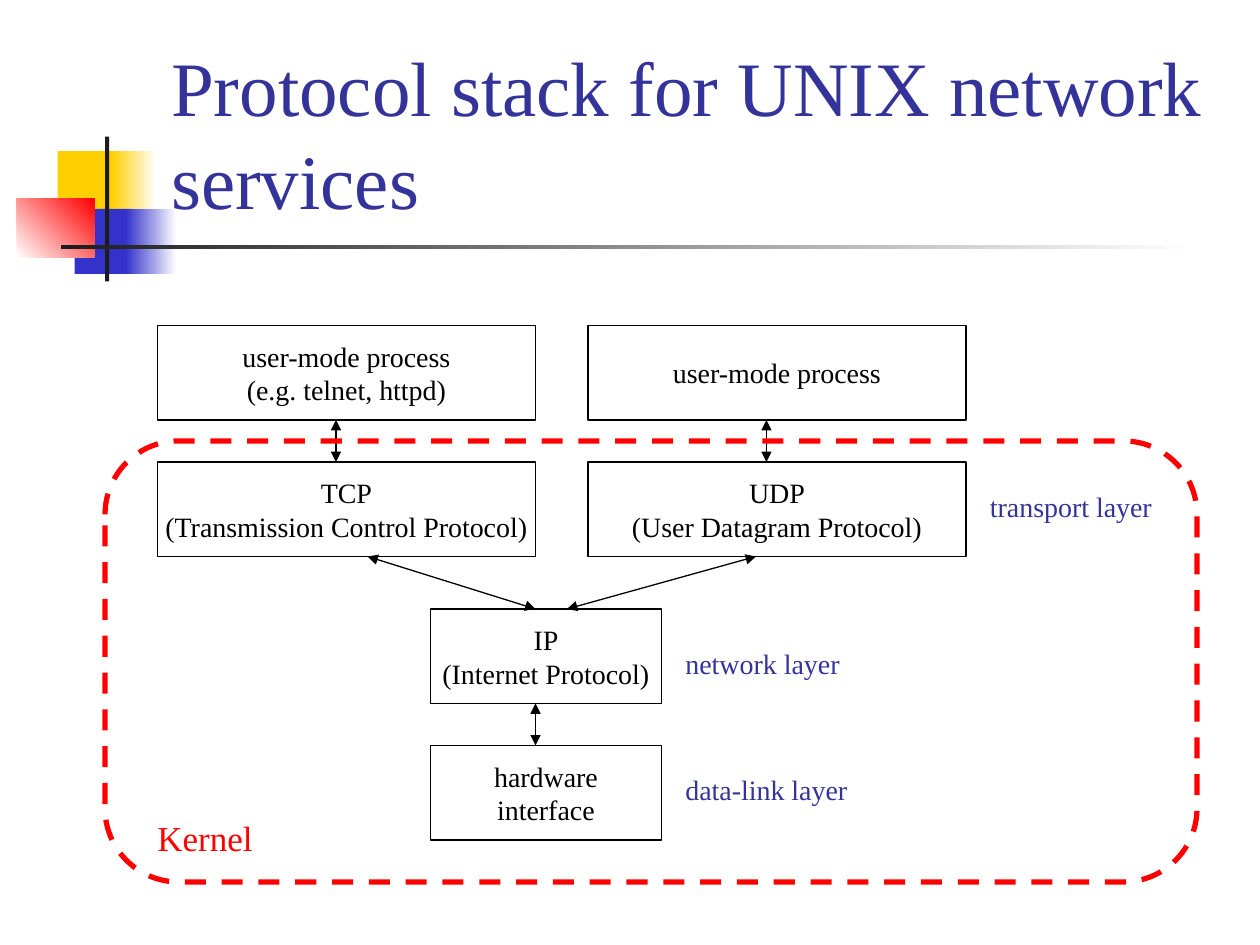
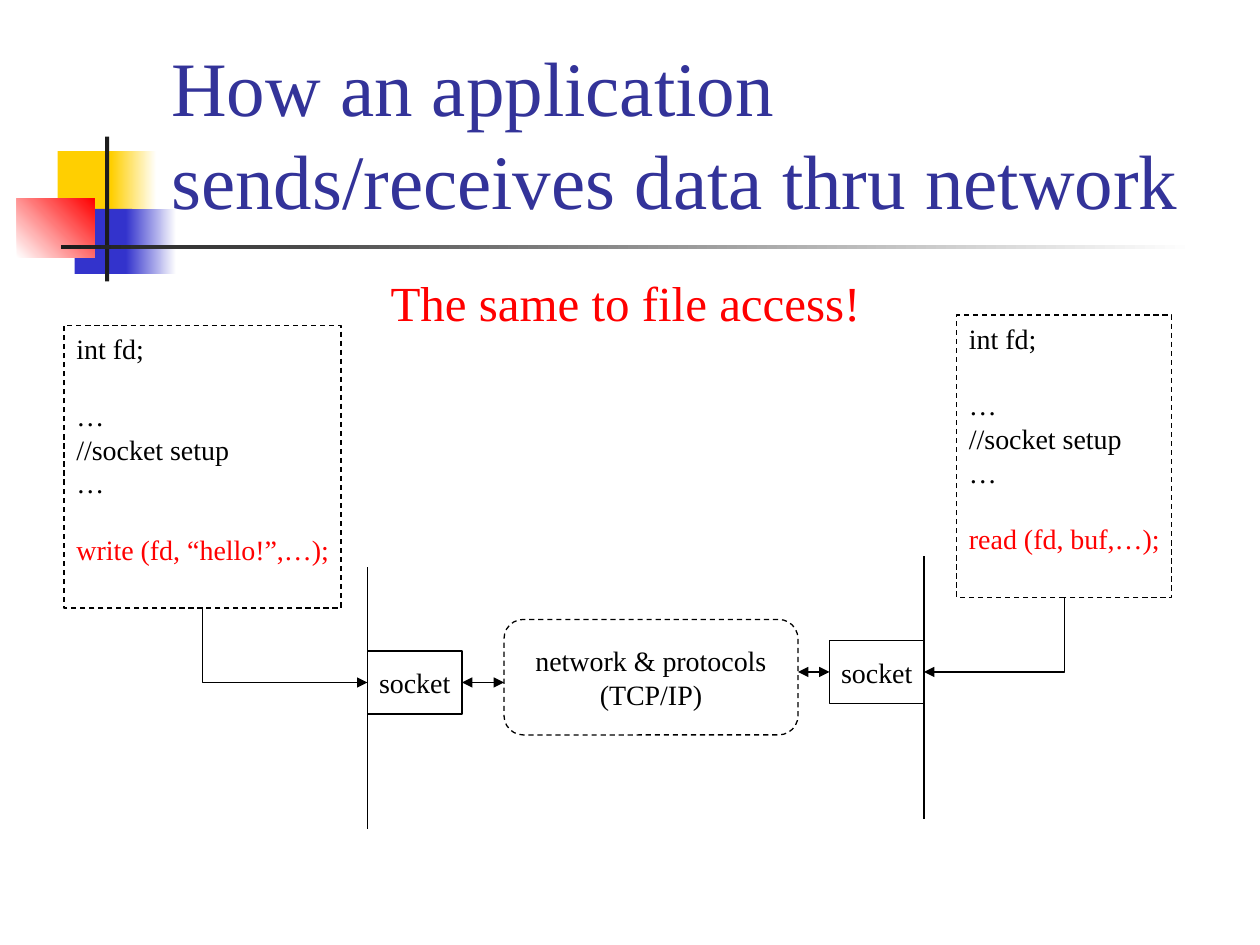
from dataclasses import dataclass

from lxml.etree import SubElement
from pptx import Presentation
from pptx.dml.color import RGBColor
from pptx.enum.dml import MSO_LINE
from pptx.enum.shapes import MSO_CONNECTOR, MSO_SHAPE
from pptx.enum.text import MSO_ANCHOR, MSO_AUTO_SIZE, PP_ALIGN
from pptx.oxml.ns import qn
from pptx.util import Inches, Pt

TOP, LEFT, BOTTOM, RIGHT = range(4)


@dataclass(frozen=True)
class Theme:
    """Colours, type sizes and line widths of the deck."""
    font: str = "Times New Roman"
    ink: str = "000000"
    title: str = "333399"
    alert: str = "FF0000"
    paper: str = "FFFFFF"
    yellow: str = "FFCF01"
    blue: str = "3333CC"
    bar: str = "1C1C1C"
    title_size: int = 44
    body_size: int = 28
    kernel_size: int = 20
    text_size: int = 16
    blank_line: int = 19
    thin: float = 0.75
    thick: float = 3


THEME = Theme()


@dataclass(frozen=True)
class Box:
    """An area in grid cells, twelve to the inch."""
    left: float
    top: float
    width: float
    height: float

    def within(self, left, top, width, height):
        """Return an area placed relative to this one."""
        return Box(self.left + left, self.top + top, width, height)

    def point(self, column, row):
        """Return a point of this area as slide lengths."""
        return cells(self.left + column), cells(self.top + row)

    def frame(self):
        """Return left, top, width and height as slide lengths."""
        return [cells(n) for n in (self.left, self.top, self.width, self.height)]


SLIDE = Box(0, 0, 120, 90)


def cells(count):
    """Turn grid cells into a length."""
    return Inches(count / 12)


def colour(value):
    """Turn a hex value into a colour."""
    return RGBColor.from_string(value)


def assign(target, values):
    """Set each attribute named in a dict."""
    for name, value in values.items():
        setattr(target, name, value)


def place(shape, area):
    """Move a shape to an area."""
    assign(shape, dict(zip(("left", "top", "width", "height"), area.frame())))


def style_font(para, size, tint):
    """Give a paragraph the deck's font."""
    assign(para.font, {"name": THEME.font, "size": Pt(size)})
    para.font.color.rgb = colour(tint)


def write(shape, lines, size=THEME.text_size, tint=THEME.ink,
          align=PP_ALIGN.LEFT, anchor=MSO_ANCHOR.TOP, wrap=False):
    """Fill a shape with one paragraph a line."""
    frame = shape.text_frame
    assign(frame, {"word_wrap": wrap, "auto_size": MSO_AUTO_SIZE.NONE,
                   "vertical_anchor": anchor, "text": "\n".join(lines)})
    for para in frame.paragraphs:
        para.alignment = align
        style_font(para, size, tint)
    return frame.paragraphs


def stroke(line, tint=THEME.ink, width=THEME.thin, dash=None):
    """Draw a line in a colour, width and dash."""
    line.color.rgb = colour(tint)
    assign(line, {"width": Pt(width), "dash_style": dash})


def outline(page, area, kind=MSO_SHAPE.RECTANGLE, **line):
    """Add an unfilled shape with an outline."""
    shape = page.shapes.add_shape(kind, *area.frame())
    shape.shadow.inherit = False
    shape.fill.background()
    stroke(shape.line, **line)
    return shape


def node(page, area, lines, **look):
    """Add an outlined shape with centred text."""
    shape = outline(page, area, **look)
    write(shape, lines, align=PP_ALIGN.CENTER, anchor=MSO_ANCHOR.MIDDLE)
    return shape


def label(page, area, text, size=THEME.text_size, tint=THEME.title):
    """Add a one-line text box."""
    write(page.shapes.add_textbox(*area.frame()), [text], size, tint)


def link(page, start, end, heads=("headEnd", "tailEnd"), kind=MSO_CONNECTOR.STRAIGHT):
    """Add a thin connector with arrowheads."""
    connector = page.shapes.add_connector(kind, *start, *end)
    stroke(connector.line)
    properties = connector.element.spPr
    for head in heads:
        SubElement(properties.find(qn("a:ln")), qn(f"a:{head}"), type="triangle")
    SubElement(properties, qn("a:effectLst"))
    return connector


def ornament(page, area):
    """Draw the coloured blocks and bars behind the title."""
    blocks = (
        ((5.5, 14.4, 5.8, 6.2), (THEME.yellow,), 0),
        ((10.6, 14.4, 4.3, 6.2), (THEME.yellow, THEME.paper), 0),
        ((7.1, 19.9, 5.5, 6.2), (THEME.blue,), 0),
        ((12, 19.9, 4.8, 6.2), (THEME.blue, THEME.paper), 0),
        ((1.6, 18.9, 7.4, 5.6), (THEME.paper, THEME.alert), 45),
        ((10, 13, 0.4, 13.8), (THEME.bar,), 0),
        ((5.8, 23.35, 108, 0.4), (THEME.bar, THEME.paper), 0),
    )
    for spot, tints, angle in blocks:
        block = page.shapes.add_shape(MSO_SHAPE.RECTANGLE, *area.within(*spot).frame())
        block.shadow.inherit = False
        block.line.fill.background()
        if len(tints) == 1:
            block.fill.solid()
            block.fill.fore_color.rgb = colour(tints[0])
        else:
            block.fill.gradient()
            block.fill.gradient_angle = angle
            for stop, tint in zip(block.fill.gradient_stops, tints):
                stop.color.rgb = colour(tint)
        page.shapes.title.element.addprevious(block.element)


def titled_page(deck, layout, title):
    """Add a slide with the shared ornament and title."""
    page = deck.slides.add_slide(deck.slide_layouts.get_by_name(layout))
    ornament(page, SLIDE)
    place(page.shapes.title, SLIDE.within(15.1, 2.8, 102.2, 19.2))
    write(page.shapes.title, [title], THEME.title_size, THEME.title,
          anchor=MSO_ANCHOR.BOTTOM, wrap=True)
    return page


def protocol_stack(page, area):
    """Draw the protocol boxes, their links and the kernel border."""
    wide, narrow, height = 36, 22, 9
    left, right, middle = 5, 46, 31
    user, transport, network, hardware = 0, 13, 27, 40
    boxes = (
        (middle, hardware, narrow, ("hardware", "interface")),
        (middle, network, narrow, ("IP", "(Internet Protocol)")),
        (left, transport, wide, ("TCP", "(Transmission Control Protocol)")),
        (right, transport, wide, ("UDP", "(User Datagram Protocol)")),
        (left, user, wide, ("user-mode process", "(e.g. telnet, httpd)")),
        (right, user, wide, ("user-mode process",)),
    )
    for column, row, width, lines in boxes:
        node(page, area.within(column, row, width, height), lines)
    links = ((41, hardware, 41, network), (41, network, 25, transport),
             (44, network, 62, transport), (22, transport, 22, user),
             (63, transport, 63, user))
    for lower, row, upper, row_above in links:
        link(page, area.point(lower, row), area.point(upper, row_above + height))
    for column, row, text in ((54.1, 42, "data-link layer"),
                              (54.1, 30, "network layer"),
                              (83.1, 15, "transport layer")):
        label(page, area.within(column, row, 17.8, 4.4), text)
    outline(page, area.within(0, 11, area.width, 42), MSO_SHAPE.ROUNDED_RECTANGLE,
            tint=THEME.alert, width=THEME.thick, dash=MSO_LINE.DASH)
    label(page, area.within(3.8, 46.2, 11.4, 5.3), "Kernel",
          THEME.kernel_size, THEME.alert)


def code_box(page, area, call):
    """Draw a dashed program listing that ends in a red call."""
    box = outline(page, area, dash=MSO_LINE.DASH)
    paras = write(box, ["int fd;", "…", "//socket setup", "…", call])
    for para in (paras[1], paras[-1]):
        para.space_before = Pt(THEME.blank_line)
    paras[-1].font.color.rgb = colour(THEME.alert)
    return box


def endpoint(page, area, code_spot, call, socket_spot, wall, outer, inner, network_edge):
    """Draw one program with its socket, wall and links."""
    column, row = socket_spot
    link(page, area.point(wall, row - 8), area.point(wall, row + 17), heads=())
    socket = node(page, area.within(column, row, 9, 6), ["socket"])
    code = code_box(page, area.within(*code_spot), call)
    edge = area.point(network_edge, row + 3)
    link(page, edge, edge).begin_connect(socket, inner)
    elbow = link(page, edge, edge, ("headEnd",), MSO_CONNECTOR.ELBOW)
    elbow.element.spPr.find(qn("a:prstGeom")).set("prst", "bentConnector2")
    elbow.begin_connect(socket, outer)
    elbow.end_connect(code, BOTTOM)


def socket_flow(page, area):
    """Draw sender, network and receiver."""
    node(page, area.within(42, 29, 28, 11), ("network & protocols", "(TCP/IP)"),
         kind=MSO_SHAPE.ROUNDED_RECTANGLE, dash=MSO_LINE.DASH)
    endpoint(page, area, (0.1, 1, 26.4, 26.9), "write (fd, “hello!”,…);",
             (29, 32), 29, LEFT, RIGHT, 42)
    endpoint(page, area, (85.1, 0, 20.5, 26.9), "read (fd, buf,…);",
             (73, 31), 82, RIGHT, LEFT, 70)


def remark(page, area, text):
    """Put a red line without bullet in the body placeholder."""
    body = page.placeholders[1]
    place(body, area)
    para = write(body, [text], THEME.body_size, THEME.alert, wrap=True)[0]
    assign(para, {"line_spacing": 0.9, "space_before": Pt(0)})
    properties = para._p.get_or_add_pPr()
    for name in ("marL", "indent"):
        properties.set(name, "0")
    bullet = SubElement(properties, qn("a:buNone"))
    properties.find(qn("a:defRPr")).addprevious(bullet)


def main():
    """Build the deck."""
    deck = Presentation()
    assign(deck, {"slide_width": cells(SLIDE.width), "slide_height": cells(SLIDE.height)})
    page = titled_page(deck, "Title Only", "Protocol stack for UNIX network services")
    protocol_stack(page, Box(10, 31, 104, 53))
    page = titled_page(deck, "Title and Content",
                       "How an application sends/receives data thru network")
    remark(page, SLIDE.within(36, 26, 57, 7), "The same to file access!")
    socket_flow(page, Box(6, 30, 106, 49))
    deck.save("out.pptx")


if __name__ == "__main__":
    main()
